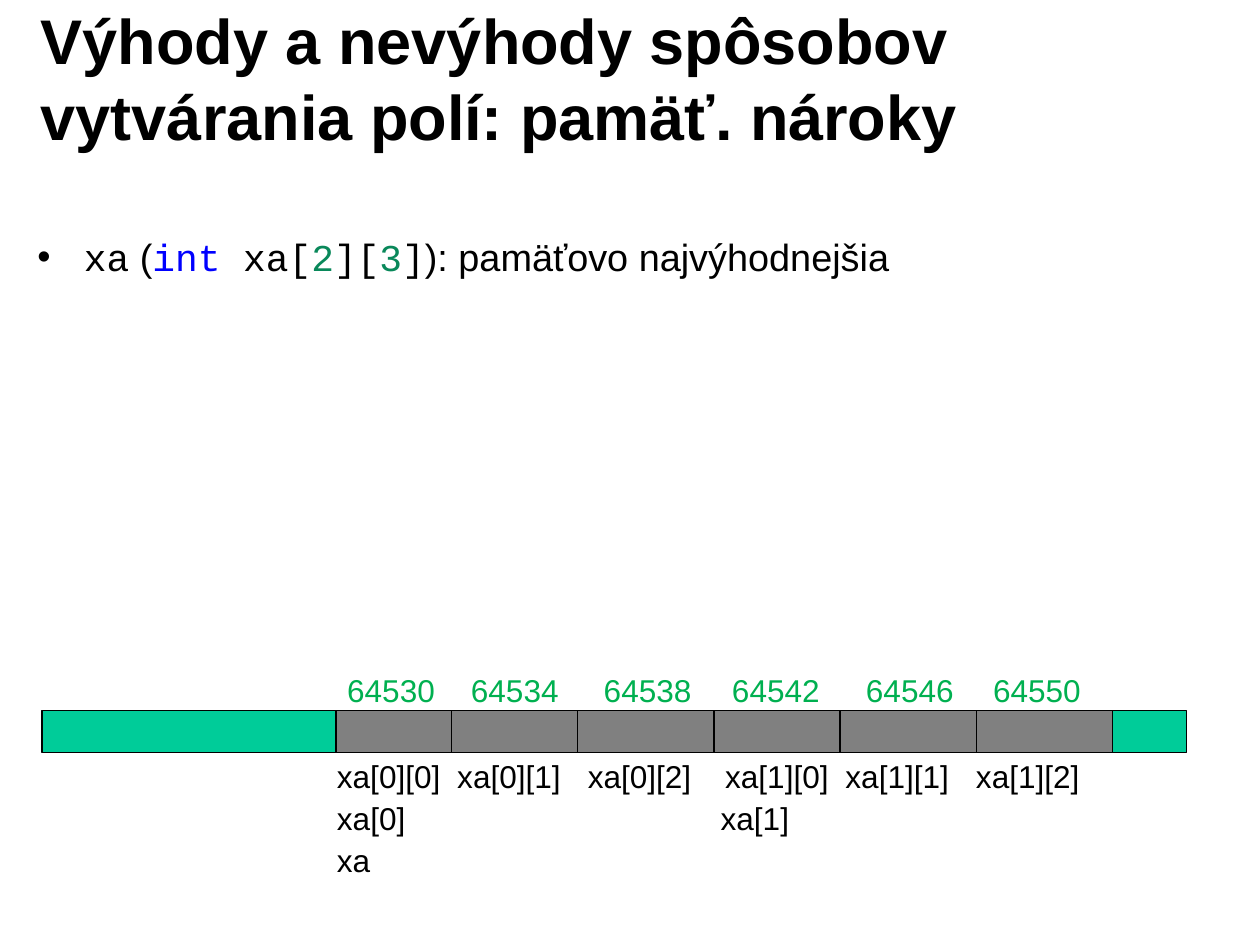
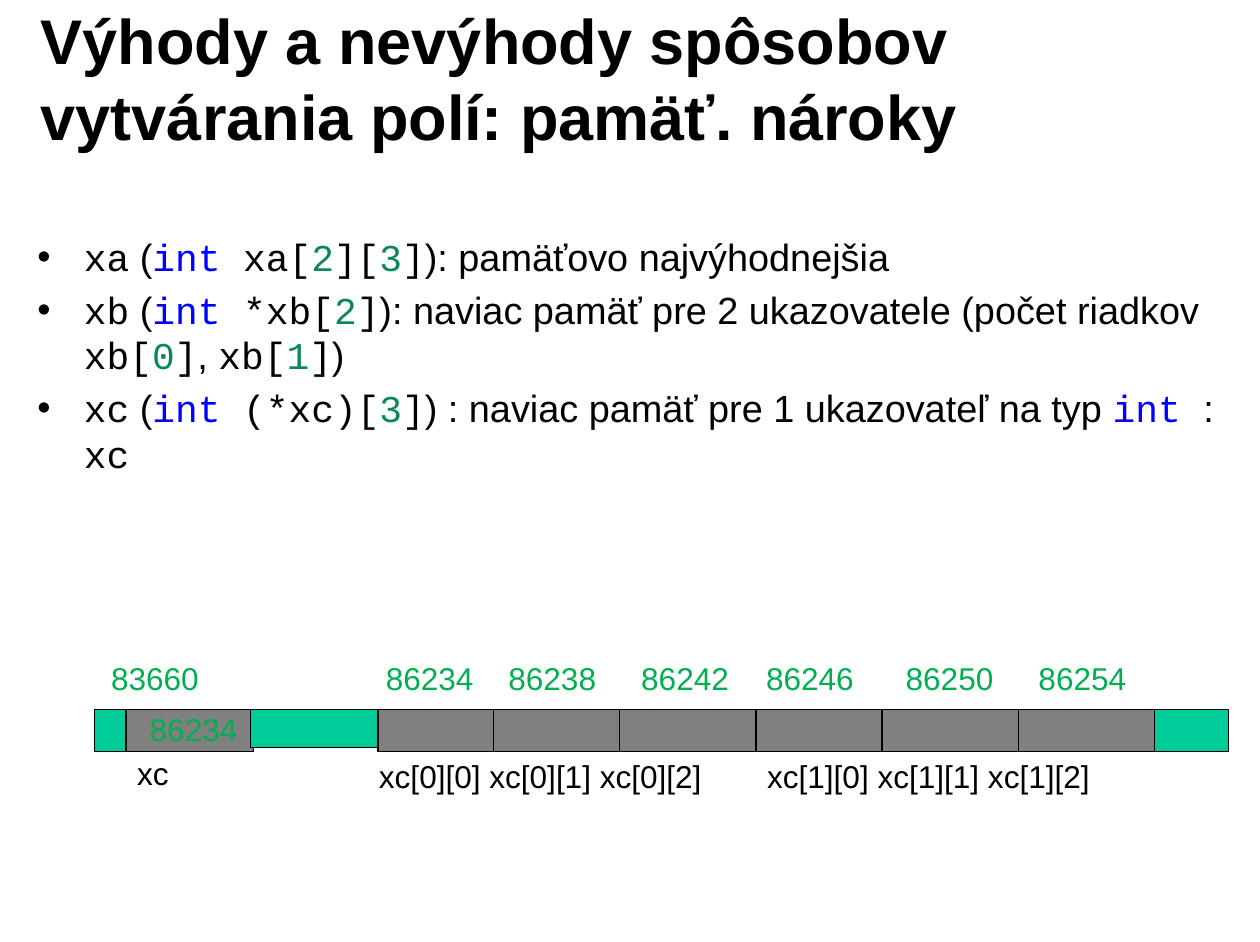
from pptx import Presentation
from pptx.dml.color import RGBColor
from pptx.enum.shapes import MSO_CONNECTOR, MSO_SHAPE
from pptx.enum.text import MSO_ANCHOR
from pptx.oxml.ns import qn
from pptx.util import Inches, Pt
from lxml import etree

RECT = MSO_SHAPE.RECTANGLE
LINE = MSO_CONNECTOR.STRAIGHT
MIDDLE = MSO_ANCHOR.MIDDLE

BLACK, GRAY, TEAL, GREEN = "000000", "808080", "00CC99", "00B050"
SANS, MONO = "Arial", "Courier New"
STYLES = {
    "text": (SANS, BLACK),
    "code": (MONO, BLACK),
    "key": (MONO, "0000FF"),
    "num": (MONO, "09885A"),
}
TITLE = "Výhody a nevýhody spôsobov vytvárania polí: pamäť. nároky"
XA = [("code", "xa"), ("text", " ("), ("key", "int "), ("code", "xa["),
      ("num", "2"), ("code", "]["), ("num", "3"), ("code", "]"),
      ("text", "): pamäťovo najvýhodnejšia")]
XB = [("code", "xb"), ("text", " ("), ("key", "int "), ("code", "*xb["),
      ("num", "2"), ("code", "]"),
      ("text", "): naviac pamäť pre 2 ukazovatele (počet riadkov "),
      ("code", "xb["), ("num", "0"), ("code", "]"), ("text", ", "),
      ("code", "xb["), ("num", "1"), ("code", "]"), ("text", ")")]
XC = [("code", "xc"), ("text", " ("), ("key", "int "), ("code", "(*xc)["),
      ("num", "3"), ("code", "]"),
      ("text", ") : naviac pamäť pre 1 ukazovateľ na typ "),
      ("key", "int "), ("text", ": "), ("code", "xc")]
SPLITS = (1.02, 2.13, 3.33, 4.44, 5.64)
BAR_W, BAR_H, END_W = 6.84, 0.37, 0.65
INT_SIZE = 4


def color(value):
    return RGBColor.from_string(value)


def add_run(para, text, size, font=SANS, tone=BLACK, bold=False):
    run = para.add_run()
    run.text = text
    run.font.name = font
    run.font.size = Pt(size)
    run.font.bold = bold
    run.font.color.rgb = color(tone)


def add_box(slide, left, top, width, height):
    box = slide.shapes.add_textbox(*map(Inches, (left, top, width, height)))
    frame = box.text_frame
    frame.word_wrap = True
    frame.margin_left = frame.margin_right = Inches(0.11)
    frame.margin_top = frame.margin_bottom = Inches(0.06)
    return frame


def add_title(slide):
    frame = add_box(slide, 0.25, 0.17, 8.91, 1.02)
    frame.vertical_anchor = MIDDLE
    add_run(frame.paragraphs[0], TITLE, 40, bold=True)


def add_list(slide, items):
    frame = add_box(slide, 0.22, 2, 10.66, 4.08)
    for i, item in enumerate(items):
        para = frame.add_paragraph() if i else frame.paragraphs[0]
        props = para._p.get_or_add_pPr()
        props.set("marL", str(Inches(0.41)))
        props.set("indent", str(Inches(-0.41)))
        etree.SubElement(props, qn("a:buFont"), typeface=SANS)
        etree.SubElement(props, qn("a:buChar"), char="•")
        if i:
            para.space_before = Pt(4.8)
        for style, text in item:
            add_run(para, text, 24, *STYLES[style])


def add_label(slide, left, top, text, tone=BLACK, width=0.98):
    box = slide.shapes.add_textbox(*map(Inches, (left, top, width, 0.44)))
    box.text_frame.word_wrap = False
    add_run(box.text_frame.paragraphs[0], text, 20, tone=tone)


def add_cell(slide, left, top, width, fill, height=BAR_H):
    cell = slide.shapes.add_shape(
        RECT, *map(Inches, (left, top, width, height)))
    cell.shadow.inherit = False
    cell.fill.solid()
    cell.fill.fore_color.rgb = color(fill)
    cell.line.color.rgb = color(BLACK)
    cell.line.width = Pt(0.75)


def add_split(slide, x, top):
    line = slide.shapes.add_connector(
        LINE, *map(Inches, (x, top, x, top + BAR_H)))
    line.line.color.rgb = color(BLACK)
    line.line.width = Pt(0.75)
    etree.SubElement(line._element.spPr, qn("a:effectLst"))


def add_array(slide, left, top, start, spots, label_top):
    add_cell(slide, left, top, BAR_W, GRAY)
    for split in SPLITS:
        add_split(slide, left + split, top)
    add_cell(slide, left + BAR_W, top, END_W, TEAL)
    for i, spot in enumerate(spots):
        add_label(slide, spot, label_top, str(start + i * INT_SIZE), GREEN)


def new_slide(deck, items):
    slide = deck.slides.add_slide(deck.slide_layouts[6])
    add_title(slide)
    add_list(slide, items)
    return slide


def draw_xa(deck):
    slide = new_slide(deck, [XA])
    add_array(slide, 2.96, 6.26, 64530,
              (2.96, 4.05, 5.22, 6.35, 7.53, 8.65), 5.86)
    add_cell(slide, 0.37, 6.26, 2.59, TEAL)
    for i, left in enumerate((2.87, 3.93, 5.08, 6.29, 7.35, 8.5)):
        add_label(slide, left, 6.62, f"xa[{i // 3}][{i % 3}]", width=1.2)
    for i, left in enumerate((2.87, 6.25)):
        add_label(slide, left, 6.99, f"xa[{i}]")
    add_label(slide, 2.87, 7.36, "xa")


def draw_xc(deck):
    slide = new_slide(deck, [XA, XB, XC])
    add_array(slide, 3.33, 6.25, 86234,
              (3.3, 4.38, 5.55, 6.65, 7.88, 9.05), 5.76)
    add_cell(slide, 0.83, 6.25, 0.28, TEAL)
    add_cell(slide, 1.11, 6.25, 1.12, GRAY)
    add_cell(slide, 2.21, 6.25, 1.12, TEAL, 0.34)
    add_label(slide, 0.88, 5.76, "83660", GREEN)
    add_label(slide, 1.22, 6.21, "86234", GREEN)
    add_label(slide, 1.11, 6.59, "xc")
    for i, left in enumerate((3.24, 6.66)):
        names = " ".join(f"xc[{i}][{j}]" for j in range(3))
        add_label(slide, left, 6.62, names, width=3.06)


def main():
    deck = Presentation()
    deck.slide_width = Inches(11.1)
    deck.slide_height = Inches(8.3)
    draw_xa(deck)
    draw_xc(deck)
    deck.save("out.pptx")


if __name__ == "__main__":
    main()
